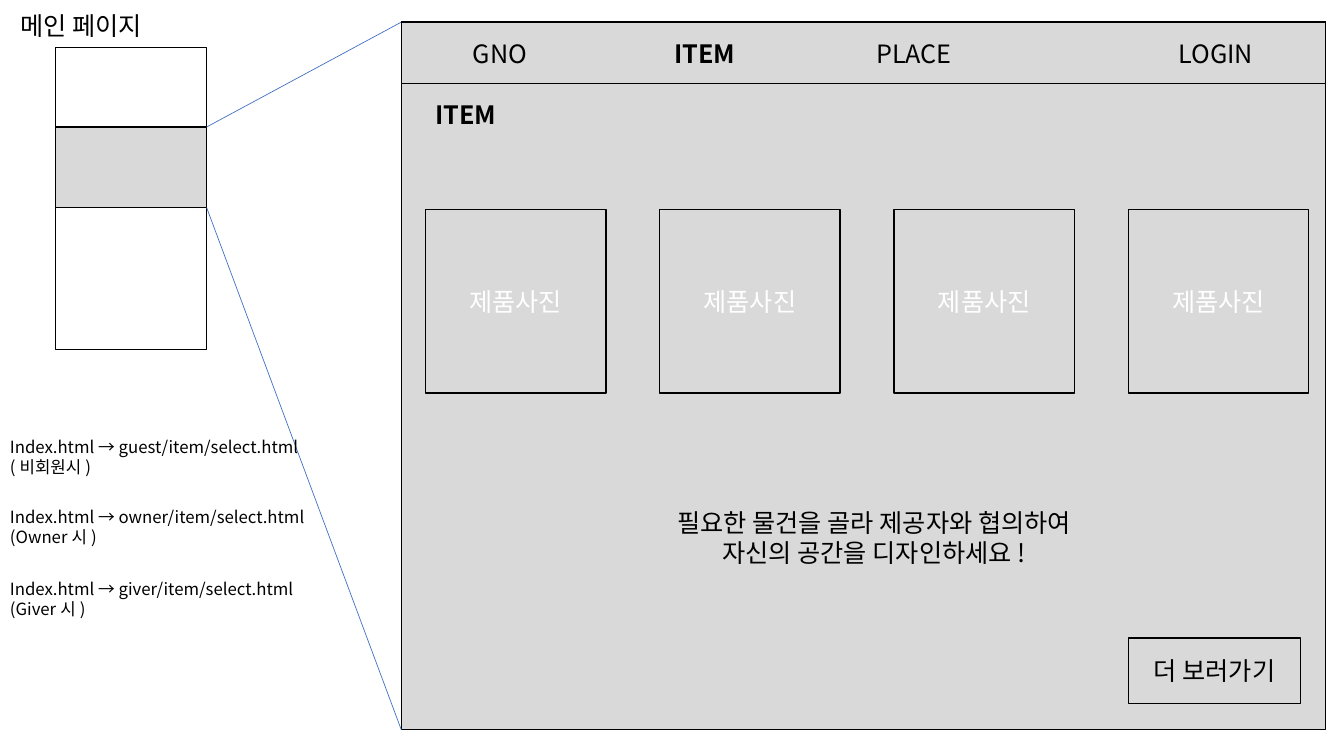
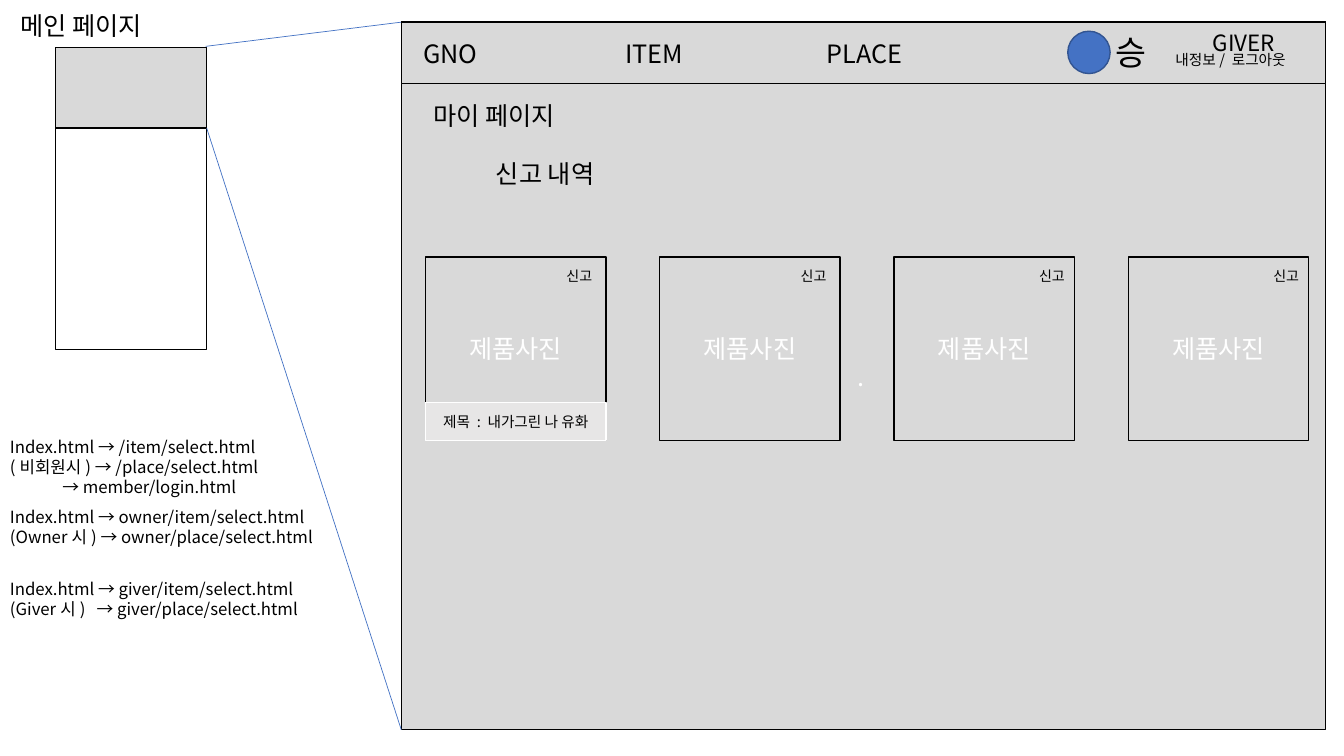
from lxml.etree import SubElement
from pptx import Presentation
from pptx.dml.color import RGBColor
from pptx.enum.shapes import MSO_CONNECTOR, MSO_SHAPE
from pptx.enum.text import MSO_ANCHOR as ANCHOR, MSO_AUTO_SIZE, PP_ALIGN as ALIGN
from pptx.oxml.ns import qn
from pptx.util import Inches, Pt

# Shared look
FONT = "Noto Sans CJK KR"
COLORS = {"ink": "000000", "paper": "FFFFFF", "panel": "D9D9D9",
          "caption": "E7E6E6", "accent": "4472C4", "accent_edge": "325491"}
PANEL_LEFT, PANEL_TOP, PANEL_WIDTH, PANEL_HEIGHT = 3.98, 0.22, 9.17, 7.02
CARD_LEFTS = [4.22 + 6.97 * column / 3 for column in range(4)]
CARD_WIDTH, CARD_HEIGHT = 1.79, 1.82
NOTE_TOPS = (4.28, 4.98, 5.69)


def add_box(shapes, place, fill="panel", line="ink", preset=MSO_SHAPE.RECTANGLE):
    shape = shapes.add_shape(preset, *map(Inches, place))
    shape.shadow.inherit = False
    shape.fill.solid()
    shape.fill.fore_color.rgb = RGBColor.from_string(COLORS[fill])
    shape.line.color.rgb = RGBColor.from_string(COLORS[line])
    shape.line.width = Pt(1)
    return shape


def write(shape, paragraphs, size=18, color="ink", align=ALIGN.CENTER,
          anchor=ANCHOR.MIDDLE, wrap=True, tabs=()):
    """Each paragraph is a list of (text, font settings) runs."""
    frame = shape.text_frame
    frame.auto_size = MSO_AUTO_SIZE.NONE
    frame.word_wrap = wrap
    frame.vertical_anchor = anchor
    for number, runs in enumerate(paragraphs):
        paragraph = frame.add_paragraph() if number else frame.paragraphs[0]
        paragraph.alignment = align
        if tabs:
            tab_list = SubElement(paragraph._p.get_or_add_pPr(), qn("a:tabLst"))
            for stop in tabs:
                SubElement(tab_list, qn("a:tab"), pos=str(Inches(stop)), algn="l")
        for text, settings in runs:
            run = paragraph.add_run()
            run.text = text
            run.font.name = FONT
            run.font.size = Pt(settings.get("size", size))
            run.font.bold = settings.get("bold", False)
            run.font.color.rgb = RGBColor.from_string(COLORS[color])
            SubElement(run._r.get_or_add_rPr(), qn("a:ea"), typeface=FONT)


presentation = Presentation()
presentation.slide_width = Inches(13.33)
presentation.slide_height = Inches(7.5)

# What differs between the two wireframes
pages = [
    {
        "section": (1.26, 0.8), "zoom_from": (2.05, 1.26),
        "menu": [("GNO\t", {}), ("ITEM", {"bold": True}), ("\tPLACE\tLOGIN", {})],
        "menu_margin": 0.71, "card_top": 2.08,
        "notes": [
            (["Index.html → guest/item/select.html", "(비회원시)"], ()),
            (["Index.html → owner/item/select.html", "(Owner시)"], ()),
            (["Index.html → giver/item/select.html", "(Giver시)"], ()),
        ],
        "headings": [("ITEM", (4.22, 0.94, 0.81, 0.4), True)],
    },
    {
        "section": (0.47, 0.8), "zoom_from": (2.04, 0.46),
        "menu": [("GNO\tITEM\tPLACE", {})],
        "menu_margin": 0.22, "card_top": 2.55,
        "notes": [
            (["Index.html → /item/select.html", "(비회원시) → /place/select.html",
              "\t→ member/login.html"], (0.52,)),
            (["Index.html → owner/item/select.html",
              "(Owner시) → owner/place/select.html"], ()),
            (["Index.html → giver/item/select.html",
              "(Giver시)\t→ giver/place/select.html"], (0.86,)),
        ],
        "headings": [("마이 페이지", (4.2, 0.95, 1.55, 0.4), False),
                     ("신고 내역", (4.82, 1.52, 1.3, 0.4), False)],
    },
]

slides = []
panels = []
for page in pages:
    slide = presentation.slides.add_slide(presentation.slide_layouts[5])
    shapes = slide.shapes
    slides.append(slide)

    # Title
    title = shapes.title
    title.left, title.top, title.width, title.height = map(Inches, (0.1, 0.05, 1.55, 0.4))
    write(title, [[("메인 페이지", {})]], align=ALIGN.LEFT, anchor=ANCHOR.TOP, wrap=False)

    # Enlarged panel, page thumbnail and highlighted section
    panels.append(add_box(shapes, (PANEL_LEFT, PANEL_TOP, PANEL_WIDTH, PANEL_HEIGHT)))
    add_box(shapes, (0.55, 0.47, 1.5, 3), fill="paper")
    section_top, section_height = page["section"]
    add_box(shapes, (0.55, section_top, 1.5, section_height))

    # Zoom lines from the section to the panel
    zoom_lines = [(*page["zoom_from"], PANEL_LEFT, PANEL_TOP),
                  (2.05, section_top + section_height, PANEL_LEFT, PANEL_TOP + PANEL_HEIGHT)]
    for ends in zoom_lines:
        connector = shapes.add_connector(MSO_CONNECTOR.STRAIGHT, *map(Inches, ends))
        connector.line.color.rgb = RGBColor.from_string(COLORS["accent"])
        connector.line.width = Pt(0.5)
        SubElement(connector._element.spPr, qn("a:effectLst"))

    # Menu bar
    menu = add_box(shapes, (PANEL_LEFT, PANEL_TOP, PANEL_WIDTH, 0.61))
    menu.text_frame.margin_left = Inches(page["menu_margin"])
    write(menu, [page["menu"]], align=ALIGN.LEFT, tabs=(2, 4, 7))

    # Link notes
    for top, (lines, tabs) in zip(NOTE_TOPS, page["notes"]):
        note = shapes.add_textbox(*map(Inches, (0, top, 3.42, 0.71)))
        write(note, [[(line, {})] for line in lines], size=12, align=ALIGN.LEFT,
              anchor=ANCHOR.TOP, tabs=tabs)

    # Headings
    for text, place, bold in page["headings"]:
        heading = shapes.add_textbox(*map(Inches, place))
        write(heading, [[(text, {"bold": bold})]], align=ALIGN.LEFT,
              anchor=ANCHOR.TOP, wrap=False)

    # Product cards
    for left in CARD_LEFTS:
        card = add_box(shapes, (left, page["card_top"], CARD_WIDTH, CARD_HEIGHT))
        write(card, [[("제품사진", {})]], color="paper")

item_slide, report_slide = slides

# Item page: message and button
message = item_slide.shapes.add_textbox(*map(Inches, (6.37, 4.98, 4.6, 0.71)))
write(message, [[("필요한 물건을 골라 제공자와 협의하여", {})],
                [("자신의 공간을 디자인하세요!", {})]], anchor=ANCHOR.TOP, wrap=False)
button = add_box(item_slide.shapes, (CARD_LEFTS[3], 6.33, 1.71, 0.65))
write(button, [[("더 보러가기", {})]])

# Report page: panel mark and account area
write(panels[1], [[(". ", {})]], color="paper")
account = report_slide.shapes.add_group_shape().shapes
add_box(account, (10.59, 0.31, 0.42, 0.42), fill="accent", line="accent_edge",
        preset=MSO_SHAPE.OVAL)
member = account.add_textbox(*map(Inches, (10.97, 0.27, 2.09, 0.5)))
write(member, [[("승\t", {"size": 24}), ("내정보/ 로그아웃", {"size": 10.5})]],
      align=ALIGN.LEFT, anchor=ANCHOR.TOP, tabs=(0.59,))
role = account.add_textbox(*map(Inches, (11.93, 0.24, 0.82, 0.37)))
write(role, [[("GIVER", {})]], size=16, align=ALIGN.LEFT, anchor=ANCHOR.TOP, wrap=False)

# Report page: card caption and report labels
caption = add_box(report_slide.shapes, (CARD_LEFTS[0], 3.99, CARD_WIDTH, 0.38),
                  fill="caption", line="paper", preset=MSO_SHAPE.FLOWCHART_PROCESS)
write(caption, [[("제목 : 내가그린 나 유화", {})]], size=10.5)
for left, offset in zip(CARD_LEFTS, (1.3, 1.3, 1.34, 1.34)):
    label = report_slide.shapes.add_textbox(*map(Inches, (left + offset, 2.6, 0.58, 0.27)))
    write(label, [[("신고", {})]], size=10, align=ALIGN.LEFT, anchor=ANCHOR.TOP)

presentation.save("out.pptx")
